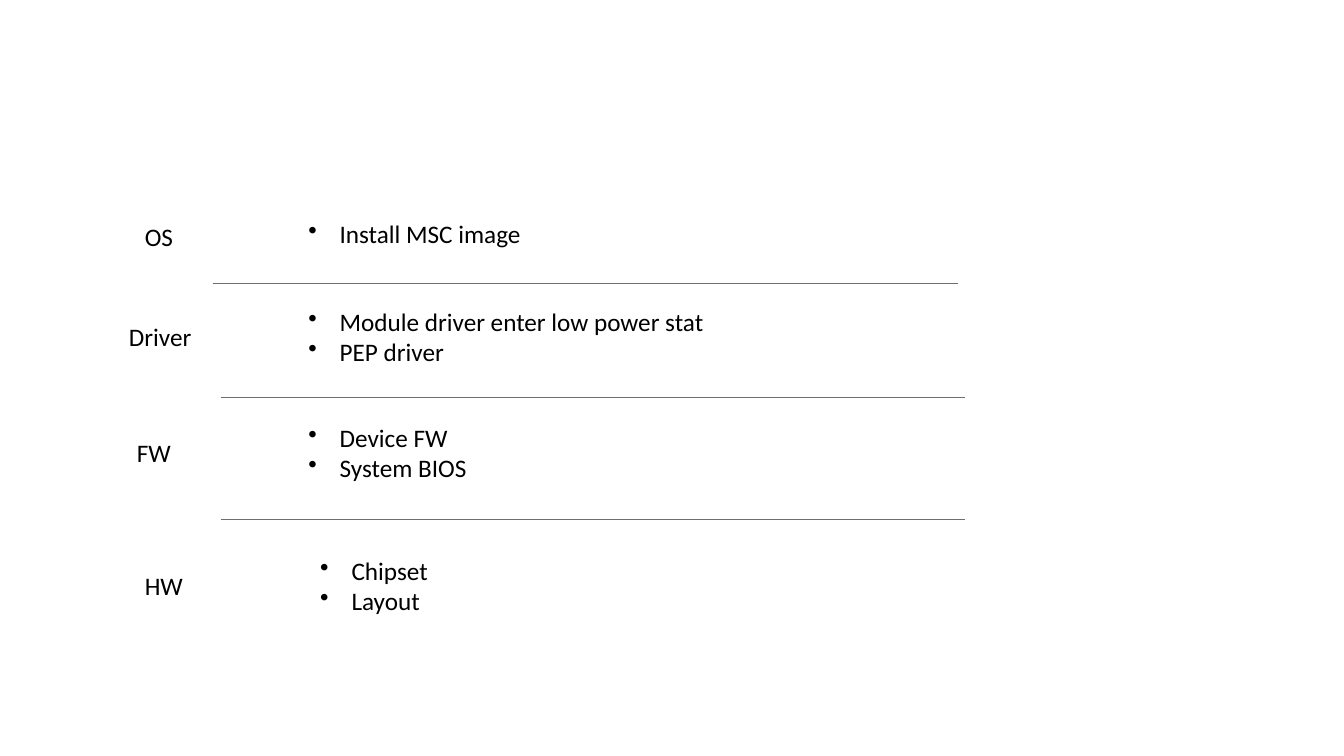
from lxml.etree import SubElement
from pptx import Presentation
from pptx.dml.color import RGBColor
from pptx.enum.shapes import MSO_CONNECTOR
from pptx.enum.text import MSO_AUTO_SIZE
from pptx.oxml.ns import qn
from pptx.util import Cm, Pt

COLORS = {"text": "000000", "divider": "4472C4"}
FONT = {"name": "Calibri", "size": Pt(18)}
FRAME = {"word_wrap": True, "auto_size": MSO_AUTO_SIZE.SHAPE_TO_FIT_TEXT}
BULLET_INDENT = Cm(0.79)
LABEL_WIDTH, LIST_WIDTH, DIVIDER_WIDTH = 2.16, 16.81, 18.77

LAYERS = [
    ("OS", 3.4, 5.44, ["Install MSC image"], 7.52, 5.38),
    ("Driver", 3.0, 7.98, ["Module driver enter low power stat", "PEP driver"], 7.52, 7.59),
    ("FW", 3.2, 10.9, ["Device FW", "System BIOS"], 7.52, 10.52),
    ("HW", 3.4, 14.25, ["Chipset", "Layout"], 7.82, 13.87),
]
DIVIDERS = [(5.36, 7.14), (5.56, 10.01), (5.56, 13.08)]


def set_values(target, values):
    for name, value in values.items():
        setattr(target, name, value)


def add_bullet(para):
    properties = para._p.get_or_add_pPr()
    properties.set("marL", str(BULLET_INDENT))
    properties.set("indent", str(-BULLET_INDENT))
    SubElement(properties, qn("a:buChar")).set("char", "•")


def add_text(page, lines, left, top, width, bulleted=False):
    height = 0.25 + 0.77 * len(lines)
    box = page.shapes.add_textbox(Cm(left), Cm(top), Cm(width), Cm(height))
    frame = box.text_frame
    set_values(frame, FRAME)
    frame.text = "\n".join(lines)
    for para in frame.paragraphs:
        if bulleted:
            add_bullet(para)
        for span in para.runs:
            set_values(span.font, FONT)
            span.font.color.rgb = RGBColor.from_string(COLORS["text"])


def add_divider(page, left, top):
    divider = page.shapes.add_connector(
        MSO_CONNECTOR.STRAIGHT, Cm(left), Cm(top), Cm(left + DIVIDER_WIDTH), Cm(top)
    )
    divider.line.width = Pt(0.5)
    divider.line.color.rgb = RGBColor.from_string(COLORS["divider"])
    SubElement(divider._element.spPr, qn("a:effectLst"))


def main():
    deck = Presentation()
    set_values(deck, {"slide_width": Cm(33.87), "slide_height": Cm(19.05)})
    page = deck.slides.add_slide(deck.slide_layouts[6])
    for left, top in DIVIDERS:
        add_divider(page, left, top)
    for label, label_left, label_top, items, list_left, list_top in LAYERS:
        add_text(page, [label], label_left, label_top, LABEL_WIDTH)
        add_text(page, items, list_left, list_top, LIST_WIDTH, bulleted=True)
    deck.save("out.pptx")


main()
